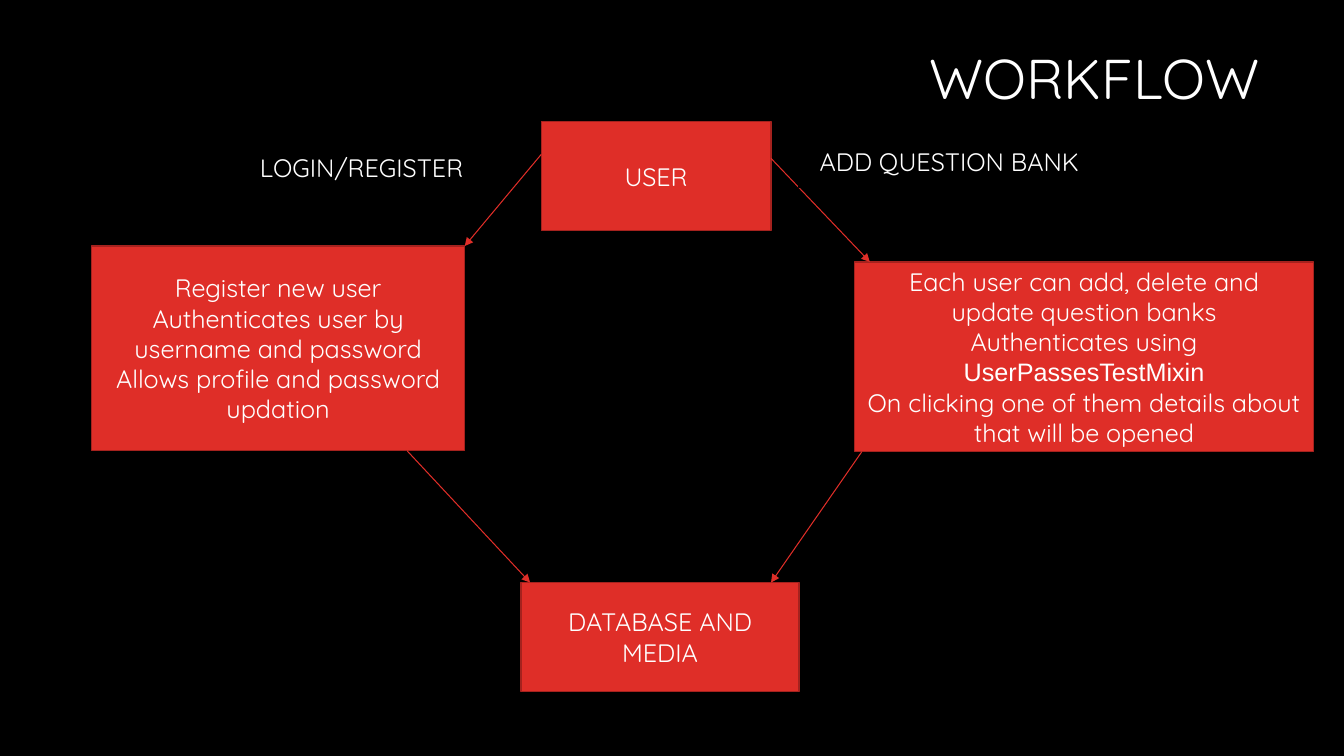
from dataclasses import dataclass

from lxml.etree import SubElement
from pptx import Presentation
from pptx.dml.color import RGBColor as Rgb
from pptx.enum.shapes import MSO_CONNECTOR as Connector, MSO_SHAPE as Preset
from pptx.enum.text import MSO_ANCHOR as Anchor, PP_ALIGN as Align
from pptx.oxml.ns import qn
from pptx.util import Cm, Pt


@dataclass(frozen=True)
class Theme:
    background: Rgb = Rgb(0x00, 0x00, 0x00)
    text: Rgb = Rgb(0xFF, 0xFF, 0xFF)
    accent: Rgb = Rgb(0xDF, 0x2E, 0x28)
    border: Rgb = Rgb(0xA5, 0x22, 0x1E)
    font: str = "Quicksand"
    code_font: str = "Arial"
    title_size: Pt = Pt(40)
    body_size: Pt = Pt(18)
    border_width: Pt = Pt(1)
    arrow_width: Pt = Pt(0.75)


class Diagram:
    def __init__(self, slide, theme):
        self.slide = slide
        self.theme = theme
        slide.background.fill.solid()
        slide.background.fill.fore_color.rgb = theme.background

    def fill_text(self, frame, paragraphs, size, align):
        frame.word_wrap = True
        frame.vertical_anchor = Anchor.MIDDLE
        for index, runs in enumerate(paragraphs):
            paragraph = frame.add_paragraph() if index else frame.paragraphs[0]
            paragraph.alignment = align
            for words, font in runs:
                run = paragraph.add_run()
                run.text = words
                run.font.name = font
                run.font.size = size
                run.font.color.rgb = self.theme.text

    def title(self, words, left, top, width, height):
        heading = self.slide.shapes.add_textbox(Cm(left), Cm(top), Cm(width), Cm(height))
        self.fill_text(heading.text_frame, [[(words, self.theme.font)]],
                       self.theme.title_size, Align.RIGHT)
        heading.text_frame.paragraphs[0].line_spacing = 0.9

    def block(self, paragraphs, area, fill, border):
        panel = self.slide.shapes.add_shape(Preset.RECTANGLE, *(Cm(length) for length in area))
        panel.shadow.inherit = False
        panel.fill.solid()
        panel.fill.fore_color.rgb = fill
        panel.line.color.rgb = border
        panel.line.width = self.theme.border_width
        self.fill_text(panel.text_frame, paragraphs, self.theme.body_size, Align.CENTER)

    def step(self, paragraphs, *area):
        self.block(paragraphs, area, self.theme.accent, self.theme.border)

    def label(self, words, *area):
        self.block([[(words, self.theme.font)]], area,
                   self.theme.background, self.theme.background)

    def arrow(self, start, end):
        link = self.slide.shapes.add_connector(
            Connector.STRAIGHT, *(Cm(length) for length in (*start, *end)))
        link.line.color.rgb = self.theme.accent
        link.line.width = self.theme.arrow_width
        properties = link._element.spPr
        SubElement(properties.find(qn("a:ln")), qn("a:tailEnd"), type="triangle")
        SubElement(properties, qn("a:effectLst"))


theme = Theme()
deck = Presentation()
deck.slide_width, deck.slide_height = Cm(33.87), Cm(19.05)
workflow = Diagram(deck.slides.add_slide(deck.slide_layouts[6]), theme)

user = [[("USER", theme.font)]]
accounts = [
    [("Register new user", theme.font)],
    [("Authenticates user by username and password", theme.font)],
    [("Allows profile and password updation", theme.font)],
]
question_banks = [
    [("Each user can add, delete and update question banks", theme.font)],
    [("Authenticates using ", theme.font), ("UserPassesTestMixin", theme.code_font)],
    [("On clicking one of them details about that will be opened", theme.font)],
]
storage = [[("DATABASE AND MEDIA", theme.font)]]

workflow.title("WORKFLOW", 23.04, 0.51, 8.94, 3.07)

workflow.step(user, 13.64, 3.07, 5.79, 2.74)
workflow.step(accounts, 2.31, 6.2, 9.4, 5.16)
workflow.step(question_banks, 21.54, 6.6, 11.56, 4.78)
workflow.step(storage, 13.13, 14.68, 7.01, 2.74)

workflow.arrow((13.64, 3.89), (11.71, 6.2))
workflow.arrow((19.43, 3.99), (21.92, 6.6))
workflow.arrow((10.26, 11.36), (13.36, 14.68))
workflow.arrow((21.72, 11.38), (19.43, 14.68))

workflow.label("LOGIN/REGISTER", 6.22, 3.43, 5.79, 1.6)
workflow.label("ADD QUESTION BANK", 20.14, 3.43, 7.57, 1.3)

deck.save("out.pptx")
